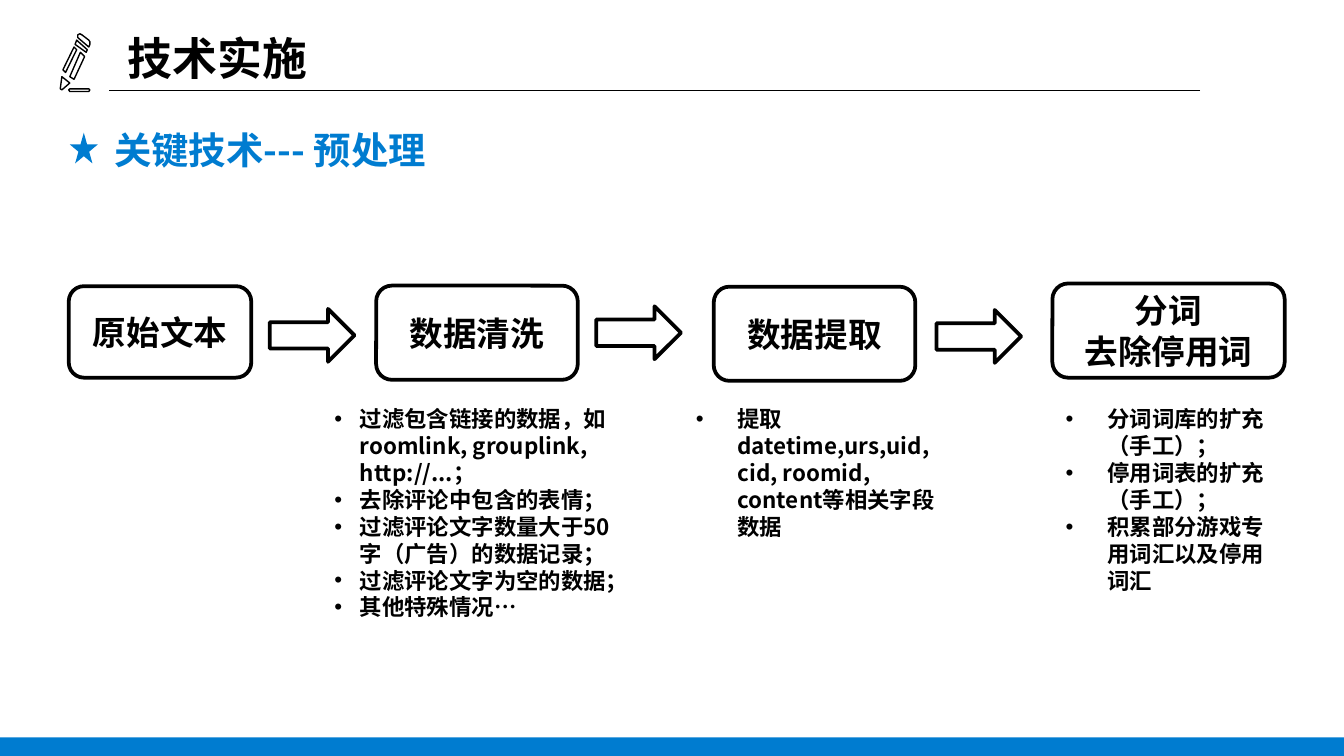
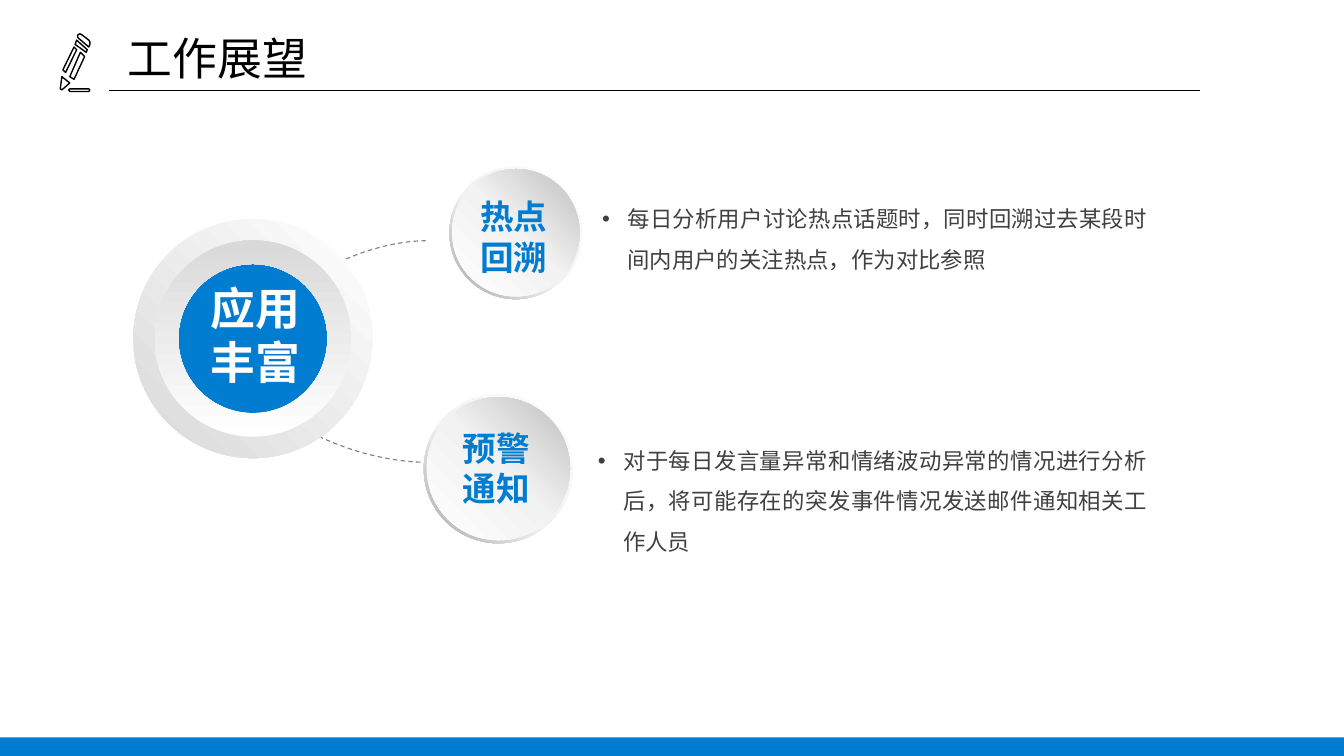
from dataclasses import dataclass

from lxml import etree
from pptx import Presentation
from pptx.dml.color import RGBColor
from pptx.enum.dml import MSO_LINE
from pptx.enum.shapes import MSO_CONNECTOR, MSO_SHAPE
from pptx.enum.text import MSO_ANCHOR, MSO_AUTO_SIZE, PP_ALIGN
from pptx.oxml.ns import qn
from pptx.util import Cm, Pt

RECT, ROUNDED, ARROW = MSO_SHAPE.RECTANGLE, MSO_SHAPE.ROUNDED_RECTANGLE, MSO_SHAPE.RIGHT_ARROW
STAR, OVAL, DONUT = MSO_SHAPE.STAR_5_POINT, MSO_SHAPE.OVAL, MSO_SHAPE.DONUT
STRAIGHT, DASH = MSO_CONNECTOR.STRAIGHT, MSO_LINE.DASH
LEFT, CENTER, JUSTIFY = PP_ALIGN.LEFT, PP_ALIGN.CENTER, PP_ALIGN.JUSTIFY
TOP, MIDDLE = MSO_ANCHOR.TOP, MSO_ANCHOR.MIDDLE
GROW = MSO_AUTO_SIZE.SHAPE_TO_FIT_TEXT
TITLE_ONLY = 5


@dataclass(frozen=True)
class Theme:
    font: str = "Noto Sans CJK SC"
    blue: str = "007CD0"
    black: str = "000000"
    white: str = "FFFFFF"
    body: str = "404040"
    dashes: str = "808080"
    title_size: float = 24
    heading_size: float = 20
    label_size: float = 18
    note_size: float = 12
    thin: float = 0.75
    thick: float = 2
    dashed: float = 0.6


THEME = Theme()
RIM = [(0, "FFFFFF"), (55, "F2F2F2"), (100, "A6A6A6")]
FACE = [(0, "FFFFFF"), (51, "F2F2F2"), (100, "BFBFBF")]
SILVER = [(0, "FFFFFF"), (100, "D9D9D9")]

PENCIL = [
    [(132, 168), (168, 168), (170, 170), (168, 173), (132, 173), (130, 170)],
    [(132, 145), (152, 99), (160, 107), (140, 150)],
    [(119, 132), (140, 89), (145, 94), (124, 137)],
    [(114, 168), (117, 145), (132, 157), (117, 170)],
    [(145, 76), (142, 84), (163, 99), (165, 94)],
    [(147, 66), (151, 64), (155, 66), (168, 76), (170, 79), (170, 84), (168, 89), (147, 71)],
]


def paint(shape, fill=None, line=None, width=THEME.thick):
    shape.shadow.inherit = False
    if fill:
        shape.fill.solid()
        shape.fill.fore_color.rgb = RGBColor.from_string(fill)
    else:
        shape.fill.background()
    if line:
        shape.line.color.rgb = RGBColor.from_string(line)
        shape.line.width = Pt(width)
    else:
        shape.line.fill.background()


def paint_gradient(shape, stops, angle):
    paint(shape)
    properties = shape.element.spPr
    gradient = etree.Element(qn("a:gradFill"), rotWithShape="1")
    stop_list = etree.SubElement(gradient, qn("a:gsLst"))
    for position, color in stops:
        stop = etree.SubElement(stop_list, qn("a:gs"), pos=str(position * 1000))
        etree.SubElement(stop, qn("a:srgbClr"), val=color)
    etree.SubElement(gradient, qn("a:lin"), ang=str(angle * 60000), scaled="0")
    properties.replace(properties.find(qn("a:noFill")), gradient)


def add_bullet(paragraph, indent):
    properties = paragraph._p.get_or_add_pPr()
    properties.set("marL", str(Cm(indent)))
    properties.set("indent", str(-Cm(indent)))
    etree.SubElement(properties, qn("a:buFont"), typeface="Arial")
    etree.SubElement(properties, qn("a:buChar"), char="•")


def write(frame, lines, size, color, bold=True, align=LEFT, anchor=TOP, indent=None, spacing=None):
    frame.vertical_anchor = anchor
    for index, line in enumerate(lines):
        paragraph = frame.add_paragraph() if index else frame.paragraphs[0]
        paragraph.alignment = align
        if indent:
            add_bullet(paragraph, indent)
        if spacing:
            paragraph.line_spacing = spacing
        run = paragraph.add_run()
        run.text = line
        run.font.size = Pt(size)
        run.font.bold = bold
        run.font.color.rgb = RGBColor.from_string(color)
        run.font.name = THEME.font
        etree.SubElement(run.font._element, qn("a:ea"), typeface=THEME.font)


def add_block(shapes, kind, box, fill=None, line=None):
    block = shapes.add_shape(kind, *map(Cm, box))
    paint(block, fill, line)
    return block


def add_text(shapes, box, lines, size, color, inset=True, **style):
    frame = shapes.add_textbox(*map(Cm, box)).text_frame
    frame.word_wrap = True
    frame.auto_size = GROW
    if not inset:
        frame.margin_left = frame.margin_right = frame.margin_top = frame.margin_bottom = 0
    write(frame, lines, size, color, **style)


def add_round(shapes, kind, center, diameter):
    x, y = center
    return add_block(shapes, kind, (x - diameter / 2, y - diameter / 2, diameter, diameter))


def add_ring(shapes, center, diameter, thickness, stops, angle):
    ring = add_round(shapes, DONUT, center, diameter)
    ring.adjustments[0] = thickness
    paint_gradient(ring, stops, angle)


def add_pencil(shapes):
    builder = shapes.build_freeform(*PENCIL[0][0], scale=Cm(0.01))
    for index, outline in enumerate(PENCIL):
        if index:
            builder.move_to(*outline[0])
        builder.add_line_segments(outline[1:], close=True)
    paint(builder.convert_to_shape(), THEME.white, THEME.black, THEME.thin)


def add_dashed_curve(shapes, controls, steps=24):
    points = []
    for step in range(steps + 1):
        t = step / steps
        weights = ((1 - t) ** 3, 3 * t * (1 - t) ** 2, 3 * t ** 2 * (1 - t), t ** 3)
        points.append([1000 * sum(w * c[axis] for w, c in zip(weights, controls)) for axis in (0, 1)])
    builder = shapes.build_freeform(*points[0], scale=Cm(1) / 1000)
    builder.add_line_segments(points[1:], close=False)
    curve = builder.convert_to_shape()
    paint(curve, None, THEME.dashes, THEME.dashed)
    curve.line.dash_style = DASH


def add_rule(shapes):
    rule = shapes.add_connector(STRAIGHT, Cm(22.68), Cm(1.71), Cm(2.06), Cm(1.71))
    rule.line.color.rgb = RGBColor.from_string(THEME.black)
    rule.line.width = Pt(THEME.thin)
    etree.SubElement(rule.element.spPr, qn("a:effectLst"))


def add_titled_slide(prs, heading, bold):
    slide = prs.slides.add_slide(prs.slide_layouts[TITLE_ONLY])
    title = slide.shapes.title
    title.left, title.top, title.width, title.height = map(Cm, (2.16, 0.46, 3.94, 1.27))
    title.text_frame.word_wrap = False
    title.text_frame.auto_size = GROW
    write(title.text_frame, [heading], THEME.title_size, THEME.black, bold)
    add_pencil(slide.shapes)
    add_rule(slide.shapes)
    return slide.shapes


def add_master_band(prs, shapes):
    band = add_block(shapes, RECT, (0, 13.94, 25.4, 0.35), THEME.blue)
    band.element.nvSpPr.cNvPr.set("id", "99")
    prs.slide_master.shapes.element.append(band.element)


def add_step(shapes, box, lines):
    step = add_block(shapes, ROUNDED, box, line=THEME.black)
    step.text_frame.word_wrap = True
    write(step.text_frame, lines, THEME.label_size, THEME.black, align=CENTER, anchor=MIDDLE)


def add_node(shapes, center, diameter, label_top, lines):
    node = shapes.add_group_shape().shapes
    add_ring(node, center, diameter, 0.05, RIM, 135)
    paint_gradient(add_round(node, OVAL, center, diameter * 0.96), FACE, 315)
    label_width = diameter + 0.13
    add_text(node, (center[0] - label_width / 2 - 0.04, label_top, label_width, 1.55), lines,
             THEME.label_size, THEME.blue, inset=False, align=CENTER)


def add_hub(shapes, center, lines):
    hub = shapes.add_group_shape().shapes
    paint(add_round(hub, OVAL, center, 3.58), THEME.blue)
    add_ring(hub, center, 4.52, 0.1, SILVER, 135)
    add_ring(hub, center, 3.71, 0.12, SILVER, 270)
    add_text(hub, (3.56, 5.18, 2.54, 2.31), lines, THEME.title_size, THEME.white, align=CENTER)


def fill_preprocessing(shapes):
    heading = shapes.add_group_shape().shapes
    banner = add_block(heading, RECT, (1.32, 2.26, 7.57, 1.14), THEME.white, THEME.white)
    write(banner.text_frame, ["关键技术--- 预处理"], THEME.heading_size, THEME.blue,
          align=CENTER, anchor=MIDDLE)
    add_block(heading, STAR, (1.32, 2.51, 0.53, 0.58), THEME.blue)

    steps = [
        ((1.3, 5.41, 3.45, 1.73), ["原始文本"]),
        ((7.11, 5.4, 3.81, 1.78), ["数据清洗"]),
        ((13.49, 5.42, 3.81, 1.78), ["数据提取"]),
        ((19.89, 5.36, 4.39, 1.78), ["分词", "去除停用词"]),
    ]
    for box, lines in steps:
        add_step(shapes, box, lines)
    for left, top in ((5.1, 5.84), (11.27, 5.79), (17.7, 5.86)):
        add_block(shapes, ARROW, (left, top, 1.6, 1), THEME.white, THEME.black)

    details = [
        (6.07, 5.99, 4.37, 0.48, [
            "过滤包含链接的数据，如roomlink, grouplink, http://...；",
            "去除评论中包含的表情；",
            "过滤评论文字数量大于50字（广告）的数据记录；",
            "过滤评论文字为空的数据；",
            "其他特殊情况…",
        ]),
        (12.9, 5.21, 2.82, 0.79, ["提取datetime,urs,uid, cid, roomid, content等相关字段数据"]),
        (19.89, 4.6, 4.37, 0.79, [
            "分词词库的扩充（手工）；",
            "停用词表的扩充（手工）；",
            "积累部分游戏专用词汇以及停用词汇",
        ]),
    ]
    for left, width, height, indent, lines in details:
        add_text(shapes, (left, 7.54, width, height), lines, THEME.note_size, THEME.black,
                 indent=indent)


def fill_outlook(shapes):
    add_dashed_curve(shapes, [(5.11, 6.25), (5.11, 5.49), (6.76, 4.55), (8.08, 4.55)])
    add_dashed_curve(shapes, [(5.11, 7.37), (5.11, 7.98), (6.76, 8.74), (8.08, 8.74)])
    add_hub(shapes, (4.78, 6.4), ["应用丰富"])
    add_node(shapes, (9.75, 4.4), 2.51, 3.71, ["热点", "回溯"])
    add_node(shapes, (9.42, 8.86), 2.82, 8.08, ["预警", "通知"])

    plans = [
        ((11.38, 3.63, 10.31, 1.55),
         "每日分析用户讨论热点话题时，同时回溯过去某段时间内用户的关注热点，作为对比参照"),
        ((11.3, 8.2, 10.39, 2.31),
         "对于每日发言量异常和情绪波动异常的情况进行分析后，将可能存在的突发事件情况发送邮件通知相关工作人员"),
    ]
    for box, plan in plans:
        add_text(shapes, box, [plan], THEME.note_size, THEME.body, inset=False, bold=False,
                 align=JUSTIFY, indent=0.48, spacing=1.5)


def main():
    prs = Presentation()
    prs.slide_width, prs.slide_height = Cm(25.4), Cm(14.29)
    preprocessing = add_titled_slide(prs, "技术实施", True)
    add_master_band(prs, preprocessing)
    fill_preprocessing(preprocessing)
    fill_outlook(add_titled_slide(prs, "工作展望", False))
    prs.save("out.pptx")


if __name__ == "__main__":
    main()
